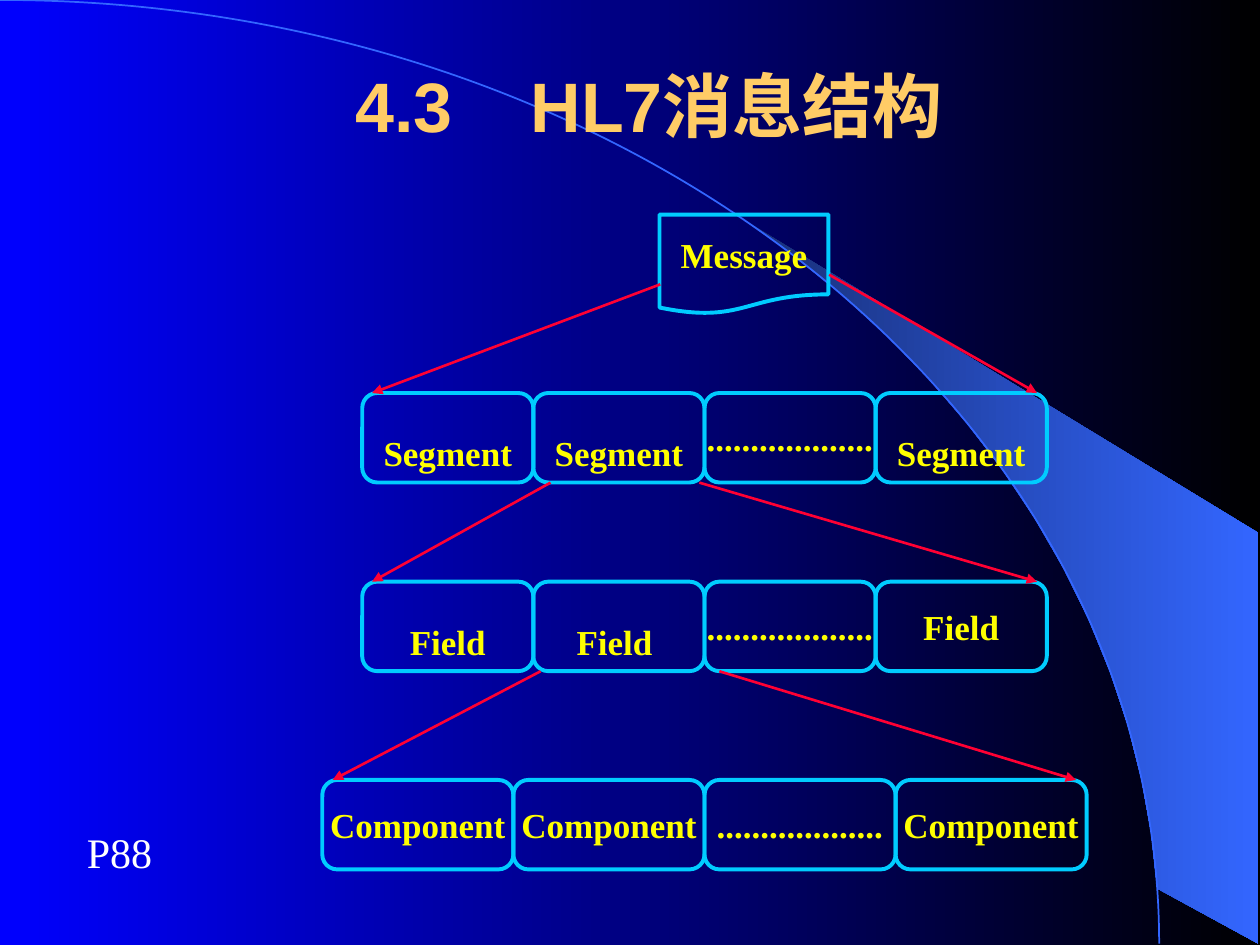
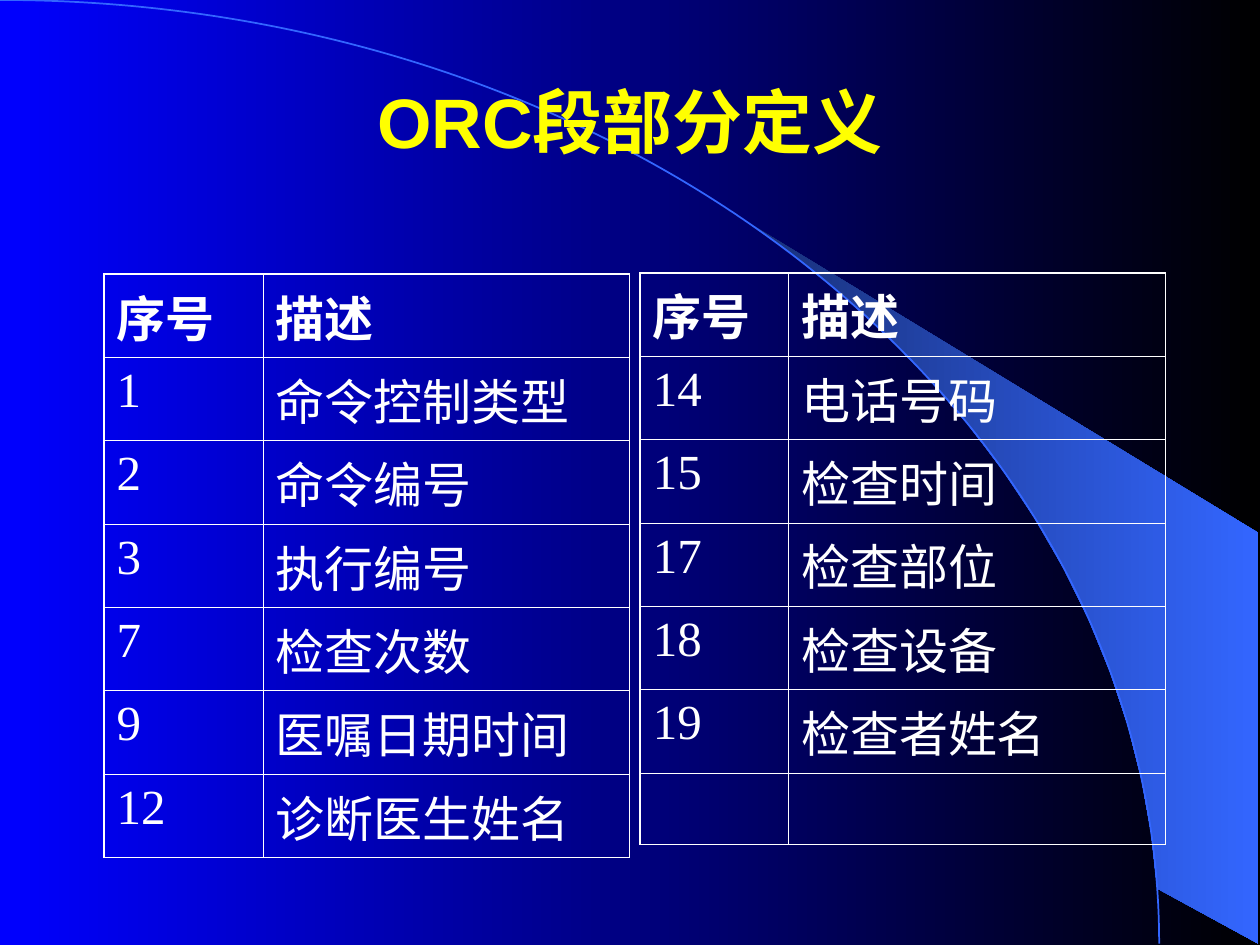
"""Build two slides on the structure of HL7 messages and the ORC segment."""
import math

import lxml.etree
import pptx
import pptx.dml.color
import pptx.enum.shapes
import pptx.enum.text
import pptx.oxml
import pptx.oxml.ns
import pptx.util

Pt = pptx.util.Pt
paint = pptx.dml.color.RGBColor.from_string
qn = pptx.oxml.ns.qn
Preset = pptx.enum.shapes.MSO_SHAPE
Align = pptx.enum.text.PP_ALIGN
Anchor = pptx.enum.text.MSO_ANCHOR

BLUE, BLACK, NAVY, SKY = "0000FF", "000000", "182F76", "3366FF"
GOLD, YELLOW, WHITE, CYAN, RED = "FFCC66", "FFFF00", "FFFFFF", "00CCFF", "FF0033"
HEADING, BODY = "Arial", "Times New Roman"


def add_span(para, text, size, colour, bold=True, font=BODY):
    span = para.add_run()
    span.text = text
    span.font.size = Pt(size)
    span.font.name = font
    span.font.bold = bold
    span.font.color.rgb = paint(colour)
    return span


def blend(fill, first, last):
    fill.gradient()
    fill.gradient_angle = 0
    for stop, colour in zip(fill.gradient_stops, (first, last)):
        stop.color.rgb = paint(colour)


deck = pptx.Presentation()
deck.slide_width = Pt(720)
deck.slide_height = Pt(540)

ARC_WIDTH, ARC_HEIGHT = 662.4, 539.2
wedge = [(Pt(719), Pt(ARC_HEIGHT)), (Pt(719), Pt(304.6))]
for step in range(16):
    angle = math.radians(39.8 + 50.2 * step / 15)
    wedge.append((Pt(ARC_WIDTH * math.sin(angle)), Pt(ARC_HEIGHT * (1 - math.cos(angle)))))
arc_controls = [(365.8, 0), (ARC_WIDTH, 241.2), (ARC_WIDTH, ARC_HEIGHT)]

pages = []
title_paras = []
for left, top, bottom_margin in ((64.8, 14.8, 3.6), (54, 48.2, 52.2)):
    page = deck.slides.add_slide(deck.slide_layouts[6])
    blend(page.background.fill, BLUE, BLACK)

    builder = page.shapes.build_freeform(*wedge[0])
    builder.add_line_segments(wedge[1:-1], close=True)
    beam = builder.convert_to_shape()
    beam.shadow.inherit = False
    blend(beam.fill, NAVY, SKY)
    beam.line.fill.background()

    builder = page.shapes.build_freeform(0, 0)
    builder.add_line_segments([(Pt(ARC_WIDTH), Pt(ARC_HEIGHT))], close=False)
    arc = builder.convert_to_shape()
    arc.shadow.inherit = False
    arc.fill.background()
    arc.line.color.rgb = paint(SKY)
    arc.line.width = Pt(1)
    segment = next(arc._element.iter(qn("a:lnTo")))
    curve = lxml.etree.Element(qn("a:cubicBezTo"))
    for x, y in arc_controls:
        lxml.etree.SubElement(curve, qn("a:pt"), x=str(Pt(x)), y=str(Pt(y)))
    segment.getparent().replace(segment, curve)

    title = page.shapes.add_textbox(Pt(left), Pt(top), Pt(612), Pt(90))
    title.text_frame.word_wrap = True
    title.text_frame.vertical_anchor = Anchor.MIDDLE
    title.text_frame.margin_bottom = Pt(bottom_margin)
    para = title.text_frame.paragraphs[0]
    para.alignment = Align.CENTER
    pages.append(page)
    title_paras.append(para)

structure_page, table_page = pages
add_span(title_paras[0], "4.3", 40, GOLD, font=HEADING)
gap = add_span(title_paras[0], " ", 40, GOLD, font=HEADING)
gap._r.get_or_add_rPr().set("spc", "3350")
add_span(title_paras[0], "HL7消息结构", 40, GOLD, font=HEADING)
add_span(title_paras[1], "ORC段部分定义", 40, YELLOW, font=HEADING)

DOTS = "." * 19
CENTRE = 402.6
LOW, MID = 20.4, 3.6
levels = [
    (224.6, 97.8, [("Segment", LOW), ("Segment", LOW), (DOTS, MID), ("Segment", LOW)]),
    (332.4, 97.8, [("Field", LOW), ("Field ", LOW), (DOTS, MID), ("Field", MID)]),
    (445.7, 109.2, [("Component", MID), ("Component", MID), (DOTS, MID), ("Component", MID)]),
]
nodes = [(Preset.FLOWCHART_DOCUMENT, 376.9, 122.6, 96.5, 56.9, "Message", MID)]
for top, width, labels in levels:
    for column, (label, top_margin) in enumerate(labels):
        left = CENTRE + (column - 2) * width
        nodes.append((Preset.ROUNDED_RECTANGLE, left, top, width, 51.1, label, top_margin))

for preset, left, top, width, height, label, top_margin in nodes:
    box = structure_page.shapes.add_shape(preset, Pt(left), Pt(top), Pt(width), Pt(height))
    box.shadow.inherit = False
    box.fill.background()
    box.line.color.rgb = paint(CYAN)
    box.line.width = Pt(2.25)
    frame = box.text_frame
    frame.word_wrap = False
    frame.vertical_anchor = Anchor.MIDDLE
    frame.margin_top = Pt(top_margin)
    para = frame.paragraphs[0]
    para.alignment = Align.CENTER
    add_span(para, label, 20, YELLOW)

arrows = [
    (377.3, 162.5, 212.6, 224.6),
    (473.8, 157, 592.6, 224.6),
    (314.6, 275.8, 212.6, 332.4),
    (399.6, 275.8, 592.6, 332.4),
    (308.9, 383.6, 190.1, 445.7),
    (411.1, 383.6, 614.9, 445.7),
]
for ends in arrows:
    arrow = structure_page.shapes.add_connector(
        pptx.enum.shapes.MSO_CONNECTOR.STRAIGHT, *[Pt(value) for value in ends]
    )
    arrow.line.color.rgb = paint(RED)
    arrow.line.width = Pt(1.5)
    lxml.etree.SubElement(arrow.line._get_or_add_ln(), qn("a:tailEnd"), type="triangle")
    lxml.etree.SubElement(arrow._element.spPr, qn("a:effectLst"))

page_reference = structure_page.shapes.add_textbox(Pt(42.5), Pt(468.7), Pt(51.8), Pt(36))
page_reference.text_frame.word_wrap = False
page_reference.text_frame.auto_size = pptx.enum.text.MSO_AUTO_SIZE.SHAPE_TO_FIT_TEXT
add_span(page_reference.text_frame.paragraphs[0], "P88", 24, WHITE, bold=False)

HEADER = ("序号", "描述")
FILLED_ROW, EMPTY_ROW = 47.65, 40.85
tables = [
    (59.4, 156.6, (91.1, 209.2), [
        HEADER, ("1", "命令控制类型"), ("2", "命令编号"), ("3", "执行编号"),
        ("7", "检查次数"), ("9", "医嘱日期时间"), ("12", "诊断医生姓名"),
    ]),
    (365.9, 156, (84.8, 215.3), [
        HEADER, ("14", "电话号码"), ("15", "检查时间"), ("17", "检查部位"),
        ("18", "检查设备"), ("19", "检查者姓名"), ("", ""),
    ]),
]
for left, top, widths, records in tables:
    heights = [FILLED_ROW if record[0] else EMPTY_ROW for record in records]
    holder = table_page.shapes.add_table(
        len(records), 2, Pt(left), Pt(top), Pt(sum(widths)), Pt(sum(heights))
    )
    table = holder.table
    table.first_row = False
    table.horz_banding = False
    for column, width in zip(table.columns, widths):
        column.width = Pt(width)
    for row, record in enumerate(records):
        table.rows[row].height = Pt(heights[row])
        for column, text in enumerate(record):
            cell = table.cell(row, column)
            cell.fill.background()
            if text:
                para = cell.text_frame.paragraphs[0]
                para.space_before = Pt(7)
                add_span(para, text, 28, WHITE, bold=row == 0)
            outer_sides = {
                "L": column == 0,
                "R": column == 1,
                "T": row == 0,
                "B": row == len(records) - 1,
            }
            for position, (side, outer) in enumerate(outer_sides.items()):
                border = pptx.oxml.parse_xml(
                    f'<a:ln{side} {pptx.oxml.ns.nsdecls("a")} w="{Pt(1.08 if outer else 0.45)}">'
                    f'<a:solidFill><a:srgbClr val="{WHITE}"/></a:solidFill></a:ln{side}>'
                )
                cell._tc.get_or_add_tcPr().insert(position, border)

deck.save("out.pptx")
